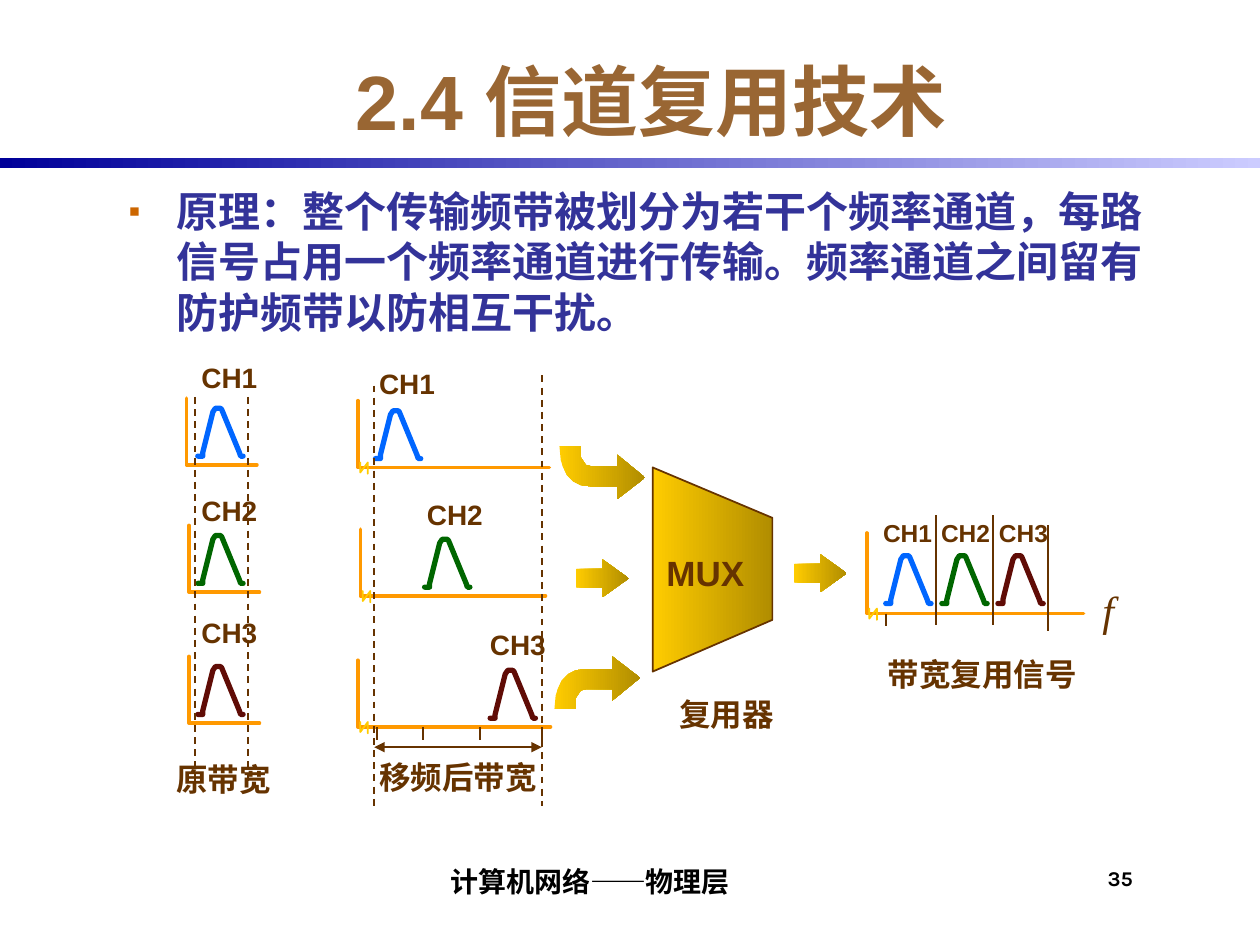
from lxml.etree import SubElement
from pptx import Presentation
from pptx.dml.color import RGBColor
from pptx.enum.dml import MSO_LINE
from pptx.enum.shapes import MSO_CONNECTOR, MSO_SHAPE
from pptx.enum.text import MSO_ANCHOR, PP_ALIGN
from pptx.oxml.ns import qn
from pptx.util import Inches, Pt

COLORS = {
    "title": "996633", "body": "333399", "bullet": "CC6600", "label": "663300",
    "footer": "000000", "axis": "FF9900", "break": "FFCC00", "gold": "FFCC00",
    "dark_gold": "B18D00", "rule_dark": "000099", "rule_light": "CCCCFF",
    "CH1": "0066FF", "CH2": "006600", "CH3": "600C06",
}
CHANNELS = ("CH1", "CH2", "CH3")
SIGNAL = [(0, .38), (.04, .38), (.04, .35), (.12, .03), (.14, 0), (.18, 0),
          (.19, .01), (.33, .35), (.34, .38), (.36, .38)]
BREAK_MARK = [(0, 0), (0, .08), (.06, 0), (.06, .09)]
BENT_ARROW = [(.46, .42), (.68, .25), (.46, .07), (.46, .16), (.25, .16), (.21, .15),
              (.19, .12), (.17, .09), (.17, 0), (0, 0), (.01, .11), (.03, .17),
              (.06, .23), (.11, .28), (.17, .31), (.25, .32), (.46, .32)]


def color(key):
    """Return the RGB colour stored under a key."""
    return RGBColor.from_string(COLORS[key])


def style_font(font, size, key, name="Arial", bold=True, italic=False):
    """Set the look of a font."""
    font.size, font.name, font.bold, font.italic = Pt(size), name, bold, italic
    font.color.rgb = color(key)


def add_text(slide, box, text, size, key="label", name="Arial", bold=True, italic=False,
             align=PP_ALIGN.LEFT, anchor=MSO_ANCHOR.TOP, wrap=False, insets=(.1, .05, .1, .05)):
    """Add a text box holding one run."""
    label = slide.shapes.add_textbox(*map(Inches, box))
    frame = label.text_frame
    frame.word_wrap, frame.vertical_anchor = wrap, anchor
    frame.margin_left, frame.margin_top, frame.margin_right, frame.margin_bottom = map(Inches, insets)
    paragraph = frame.paragraphs[0]
    paragraph.alignment = align
    run = paragraph.add_run()
    run.text = text
    style_font(run.font, size, key, name, bold, italic)


def add_outline(slide, left, top, points, closed=False):
    """Add a freeform through points relative to a corner."""
    corners = [(Inches(left + x), Inches(top + y)) for x, y in points]
    builder = slide.shapes.build_freeform(*corners[0])
    builder.add_line_segments(corners[1:], close=closed)
    outline = builder.convert_to_shape()
    outline.shadow.inherit = False
    return outline


def add_stroke(slide, left, top, points, key, width):
    """Add an open polyline with round ends."""
    stroke = add_outline(slide, left, top, points)
    stroke.fill.background()
    stroke.line.color.rgb, stroke.line.width = color(key), Pt(width)
    stroke.element.spPr.find(qn("a:ln")).set("cap", "rnd")


def add_axes(slide, left, top, width, height=.53, broken=True):
    """Add an L-shaped pair of axes, with a break mark if asked."""
    add_stroke(slide, left, top, [(0, 0), (0, height), (width, height)], "axis", 2)
    if broken:
        add_stroke(slide, left + .02, top + height - .04, BREAK_MARK, "break", 1)


def add_rule(slide, start, end, dashed=False, arrows=False):
    """Add a thin straight line."""
    rule = slide.shapes.add_connector(MSO_CONNECTOR.STRAIGHT, *map(Inches, start + end))
    rule.line.color.rgb, rule.line.width = color("label"), Pt(1)
    if dashed:
        rule.line.dash_style = MSO_LINE.DASH
    if arrows:
        for tip in ("a:headEnd", "a:tailEnd"):
            SubElement(rule.element.spPr.find(qn("a:ln")), qn(tip), type="triangle")
    SubElement(rule.element.spPr, qn("a:effectLst"))


def fill_gradient(shape, start, end):
    """Fill a shape from left to right and drop its line and shadow."""
    shape.fill.gradient()
    shape.fill.gradient_angle = 0
    for stop, key in zip(shape.fill.gradient_stops, (start, end)):
        stop.color.rgb = color(key)
    shape.line.fill.background()
    shape.shadow.inherit = False


def add_block_arrow(slide, left, top):
    """Add a straight golden arrow."""
    arrow = slide.shapes.add_shape(MSO_SHAPE.RIGHT_ARROW, *map(Inches, (left, top, .42, .3)))
    arrow.adjustments[0], arrow.adjustments[1] = .5, .694
    fill_gradient(arrow, "gold", "dark_gold")


def add_bent_arrow(slide, left, top, rising=False):
    """Add a bent golden arrow, mirrored when it rises."""
    points = [(x, .42 - y if rising else y) for x, y in BENT_ARROW]
    fill_gradient(add_outline(slide, left, top, points, True), "gold", "dark_gold")


def place(placeholder, box):
    """Move a placeholder to a box."""
    placeholder.left, placeholder.top, placeholder.width, placeholder.height = map(Inches, box)


def add_heading(slide, box):
    """Fill the title and draw the rule below it."""
    left, top, width, height = box
    band = slide.shapes.add_shape(MSO_SHAPE.RECTANGLE, 0, Inches(top + height), Inches(10), Inches(.08))
    fill_gradient(band, "rule_dark", "rule_light")
    title = slide.shapes.title
    place(title, box)
    title.text_frame.vertical_anchor = MSO_ANCHOR.MIDDLE
    paragraph = title.text_frame.paragraphs[0]
    paragraph.alignment = PP_ALIGN.CENTER
    run = paragraph.add_run()
    run.text = "2.4 信道复用技术"
    style_font(run.font, 44, "title")


def add_principle(slide, box):
    """Fill the body with the bulleted principle."""
    body = slide.placeholders[1]
    place(body, box)
    paragraph = body.text_frame.paragraphs[0]
    properties = paragraph._p.get_or_add_pPr()
    properties.set("marL", str(Inches(.38)))
    properties.set("indent", str(-Inches(.38)))
    bullet_color = SubElement(properties, qn("a:buClr"))
    SubElement(bullet_color, qn("a:srgbClr"), val=COLORS["bullet"])
    SubElement(properties, qn("a:buSzPct"), val="80000")
    SubElement(properties, qn("a:buChar"), char="▪")
    paragraph.space_before = Pt(0)
    run = paragraph.add_run()
    run.text = "原理：整个传输频带被划分为若干个频率通道，每路信号占用一个频率通道进行传输。频率通道之间留有防护频带以防相互干扰。"
    style_font(run.font, 24, "body")


def add_original_bands(slide, left, top):
    """Draw the three channels in their original band."""
    rows = zip(CHANNELS, (0, 1.06, 2.03), (.18, .2, .2), (.35, 1.36, 2.4))
    for channel, label_y, axis_x, axis_y in rows:
        add_axes(slide, left + axis_x, top + axis_y, .56, broken=False)
        add_stroke(slide, left + .27, top + axis_y + .08, SIGNAL, channel, 3)
        add_text(slide, (left + .2, top + label_y, .65, .37), channel, 16)
    for x in (.25, .67):
        add_rule(slide, (left + x, top + .34), (left + x, top + 3.42), dashed=True)
    add_text(slide, (left, top + 3.17, .95, .4), "原带宽", 18)


def add_shifted_bands(slide, left, top):
    """Draw the three channels after frequency shifting."""
    rows = zip(CHANNELS, (.07, .45, .95), (0, 1.04, 2.07), (0, .02, 0), (.32, 1.34, 2.38),
               (1.52, 1.47, 1.53), (.14, .53, 1.05))
    for channel, label_x, label_y, axis_x, axis_y, width, signal_x in rows:
        add_axes(slide, left + axis_x, top + axis_y, width)
        add_stroke(slide, left + signal_x, top + axis_y + .08, SIGNAL, channel, 3)
        add_text(slide, (left + label_x, top + label_y, .65, .37), channel, 16)
    for x in (.15, .52, .97, 1.46):
        add_rule(slide, (left + x, top + 2.91), (left + x, top + 3.01))
    for x, y in ((.13, .2), (1.46, .12)):
        add_rule(slide, (left + x, top + y), (left + x, top + 3.54), dashed=True)
    add_rule(slide, (left + .13, top + 3.07), (left + 1.46, top + 3.07), arrows=True)
    add_text(slide, (left + .07, top + 3.11, 1.45, .4), "移频后带宽", 18)


def add_multiplexer(slide, left, top):
    """Draw the multiplexer with its input and output arrows."""
    add_bent_arrow(slide, left + .04, top)
    add_bent_arrow(slide, left, top + 1.67, rising=True)
    add_block_arrow(slide, left + .17, top + .9)
    add_block_arrow(slide, left + 1.9, top + .86)
    mux = add_outline(slide, left + .78, top + .17, [(0, 0), (.95, .4), (.95, 1.21), (0, 1.62)], True)
    fill_gradient(mux, "gold", "dark_gold")
    mux.line.color.rgb, mux.line.width = color("label"), Pt(1)
    add_text(slide, (left + .79, top + .79, .82, .43), "MUX", 20)
    add_text(slide, (left + .89, top + 1.93, .95, .4), "复用器", 18, align=PP_ALIGN.CENTER)


def add_combined_band(slide, left, top):
    """Draw the multiplexed signal along the frequency axis."""
    add_axes(slide, left, top + .17, 1.72, .64)
    for index, channel in enumerate(CHANNELS):
        add_stroke(slide, left + .15 + .445 * index, top + .35, SIGNAL, channel, 3)
        add_text(slide, (left + .03 + .46 * index, top, .59, .33), channel, 14)
    for x, start, end in ((.15, .81, .91), (.55, .03, .9), (1, .03, .9), (1.44, .11, .95)):
        add_rule(slide, (left + x, top + start), (left + x, top + end))
    add_text(slide, (left + .01, top + 1.09, 1.81, .4), "带宽复用信号", 18,
             align=PP_ALIGN.CENTER, wrap=True)
    add_text(slide, (left + 1.77, top + .53, .48, .5), "f", 24, name="Times New Roman",
             bold=False, italic=True, wrap=True)


def add_footer(slide, left, top):
    """Add the course name and the page number."""
    add_text(slide, (left, top, 5.17, .42), "计算机网络——物理层", 16, "footer", "Karla",
             align=PP_ALIGN.CENTER, anchor=MSO_ANCHOR.BOTTOM, wrap=True, insets=(.04, 0, 0, .04))
    add_text(slide, (left + 6.67, top + .08, .58, .42), "35", 12, "footer", "Karla",
             wrap=True, insets=(.04, .04, 0, 0))


def main():
    """Build the slide and save it."""
    deck = Presentation()
    deck.slide_width, deck.slide_height = Inches(10), Inches(7.5)
    slide = deck.slides.add_slide(deck.slide_layouts[1])
    add_heading(slide, (.92, .33, 8.5, .92))
    add_principle(slide, (.92, 1.42, 8.5, 5))
    add_original_bands(slide, 1.3, 2.81)
    add_shifted_bands(slide, 2.84, 2.86)
    add_multiplexer(slide, 4.4, 3.54)
    add_combined_band(slide, 6.88, 4.06)
    add_footer(slide, 2.08, 6.75)
    deck.save("out.pptx")


if __name__ == "__main__":
    main()
